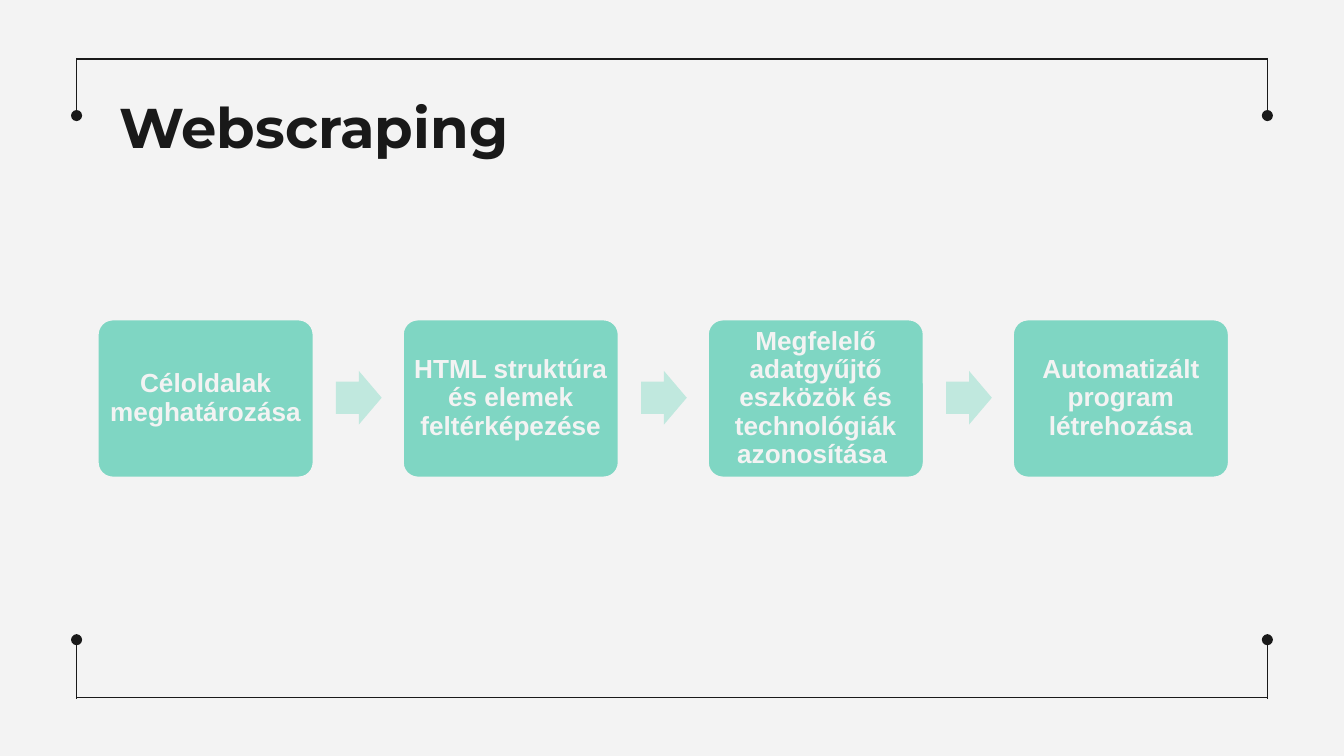
from lxml import etree
from pptx import Presentation
from pptx.dml.color import RGBColor
from pptx.enum.shapes import MSO_CONNECTOR, MSO_SHAPE
from pptx.enum.text import MSO_ANCHOR, MSO_AUTO_SIZE, PP_ALIGN
from pptx.oxml.ns import qn
from pptx.util import Inches, Pt

LINE = MSO_CONNECTOR.STRAIGHT
BOX, ARROW = MSO_SHAPE.ROUNDED_RECTANGLE, MSO_SHAPE.RIGHT_ARROW
LEFT, CENTER = PP_ALIGN.LEFT, PP_ALIGN.CENTER
TOP, MIDDLE = MSO_ANCHOR.TOP, MSO_ANCHOR.MIDDLE
NO_FIT = MSO_AUTO_SIZE.NONE
INK, PAPER, MINT, PALE = "191919", "F3F3F3", "7FD6C3", "C0E8DE"


def paint(color, value):
    color.rgb = RGBColor.from_string(value)


def style(frame, align, anchor, inset, font, size, value):
    frame.word_wrap = True
    frame.auto_size = NO_FIT
    frame.vertical_anchor = anchor
    frame.margin_left = frame.margin_right = Inches(inset)
    frame.margin_top = frame.margin_bottom = Inches(inset)
    para = frame.paragraphs[0]
    para.alignment = align
    para.font.name = font
    para.font.size = Pt(size)
    para.font.bold = True
    paint(para.font.color, value)
    return para


# A 16:9 slide
prs = Presentation()
prs.slide_width = Inches(10)
prs.slide_height = Inches(10) * 9 // 16
slide = prs.slides.add_slide(prs.slide_layouts[5])
slide.background.fill.solid()
paint(slide.background.fill.fore_color, PAPER)
shapes = slide.shapes

# Frame: a bracket above and below, with dots at the open ends
left, right = 0.57, 9.43
for bar, edge, end in ((0.44, 0.43, 0.86), (5.19, 5.2, 4.76)):
    for x1, y1, x2, y2, dot in (
        (left, bar, right, bar, False),
        (left, edge, left, end, True),
        (right, edge, right, end, True),
    ):
        line = shapes.add_connector(
            LINE, Inches(x1), Inches(y1), Inches(x2), Inches(y2))
        line.line.width = Pt(0.75)
        paint(line.line.color, INK)
        props = line.element.spPr
        etree.SubElement(props, qn("a:effectLst"))
        if dot:
            etree.SubElement(props.find(qn("a:ln")), qn("a:tailEnd"), type="oval")

# Title
title = shapes.title
title.left, title.top = Inches(0.79), Inches(0.59)
title.width, title.height = Inches(8.43), Inches(0.63)
title.text_frame.text = "Webscraping"
style(title.text_frame, LEFT, TOP, 0.1, "Montserrat", 30, INK)

# Process: four steps joined by arrows
steps = (
    "Céloldalak meghatározása",
    "HTML struktúra és elemek feltérképezése",
    "Megfelelő adatgyűjtő eszközök és technológiák azonosítása ",
    "Automatizált program létrehozása",
)
start, pitch = 0.72, 2.27
for i, text in enumerate(steps):
    x = start + i * pitch
    box = shapes.add_shape(
        BOX, Inches(x), Inches(2.37), Inches(1.62), Inches(1.19))
    box.adjustments[0] = 0.1
    box.shadow.inherit = False
    box.fill.solid()
    paint(box.fill.fore_color, MINT)
    box.line.width = Pt(2)
    paint(box.line.color, PAPER)
    box.text_frame.text = text
    para = style(box.text_frame, CENTER, MIDDLE, 0.05, "Arial", 14, PAPER)
    para.line_spacing = 0.9

    if i < len(steps) - 1:
        arrow = shapes.add_shape(
            ARROW, Inches(x + 1.78), Inches(2.76), Inches(0.34), Inches(0.4))
        arrow.adjustments[0] = 0.6
        arrow.adjustments[1] = 0.5
        arrow.shadow.inherit = False
        arrow.fill.solid()
        paint(arrow.fill.fore_color, PALE)
        arrow.line.fill.background()

prs.save("out.pptx")
